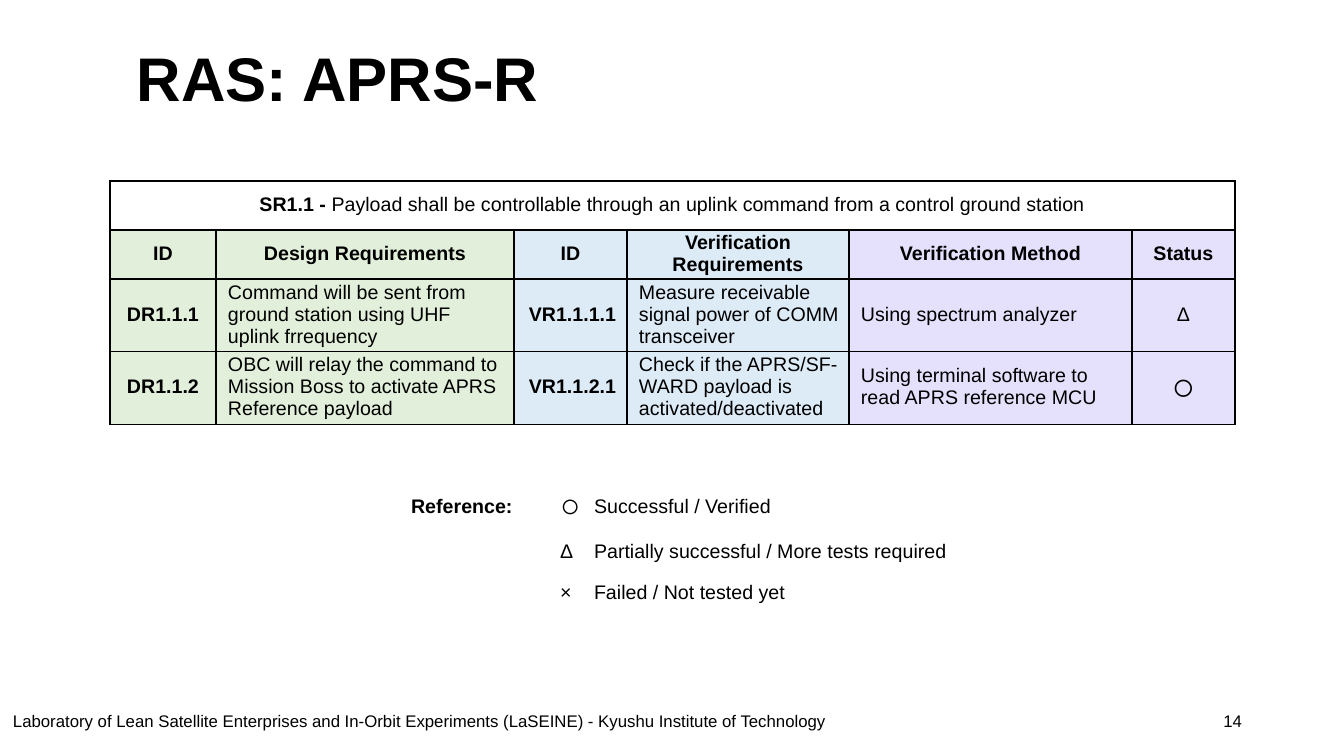
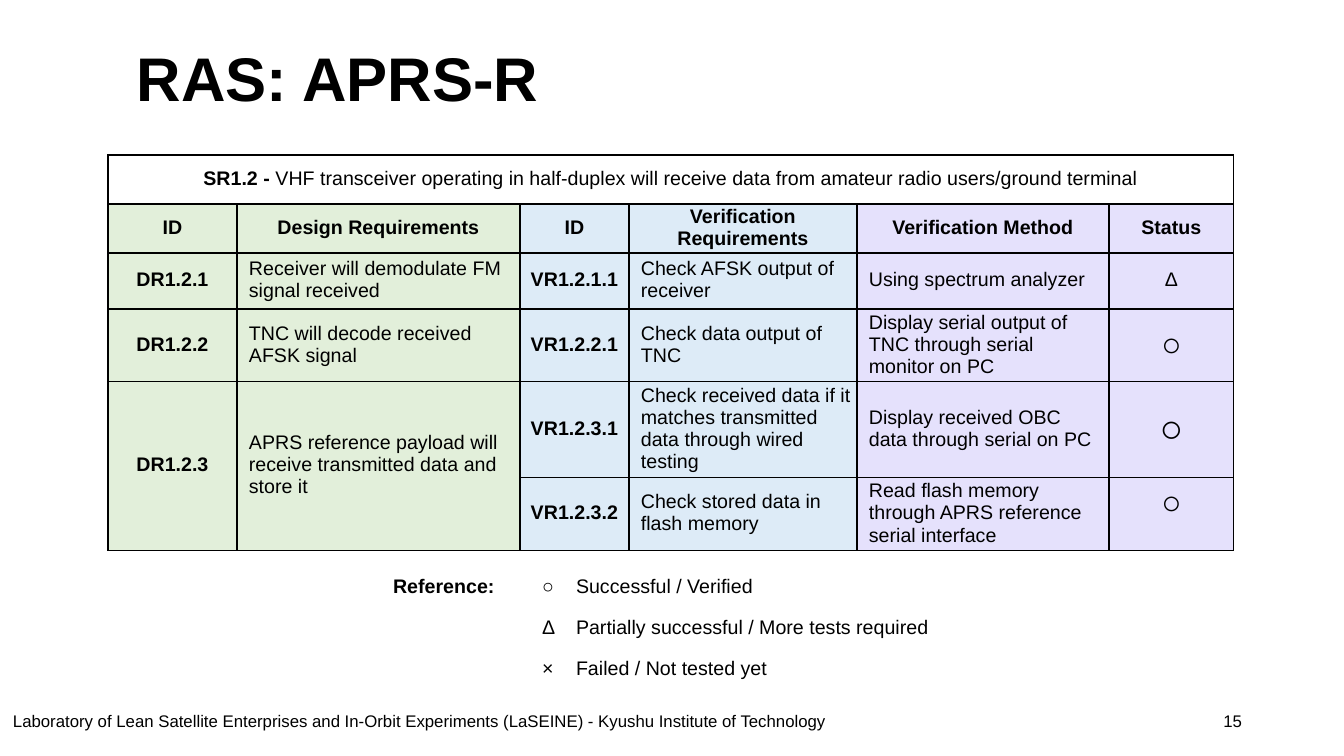
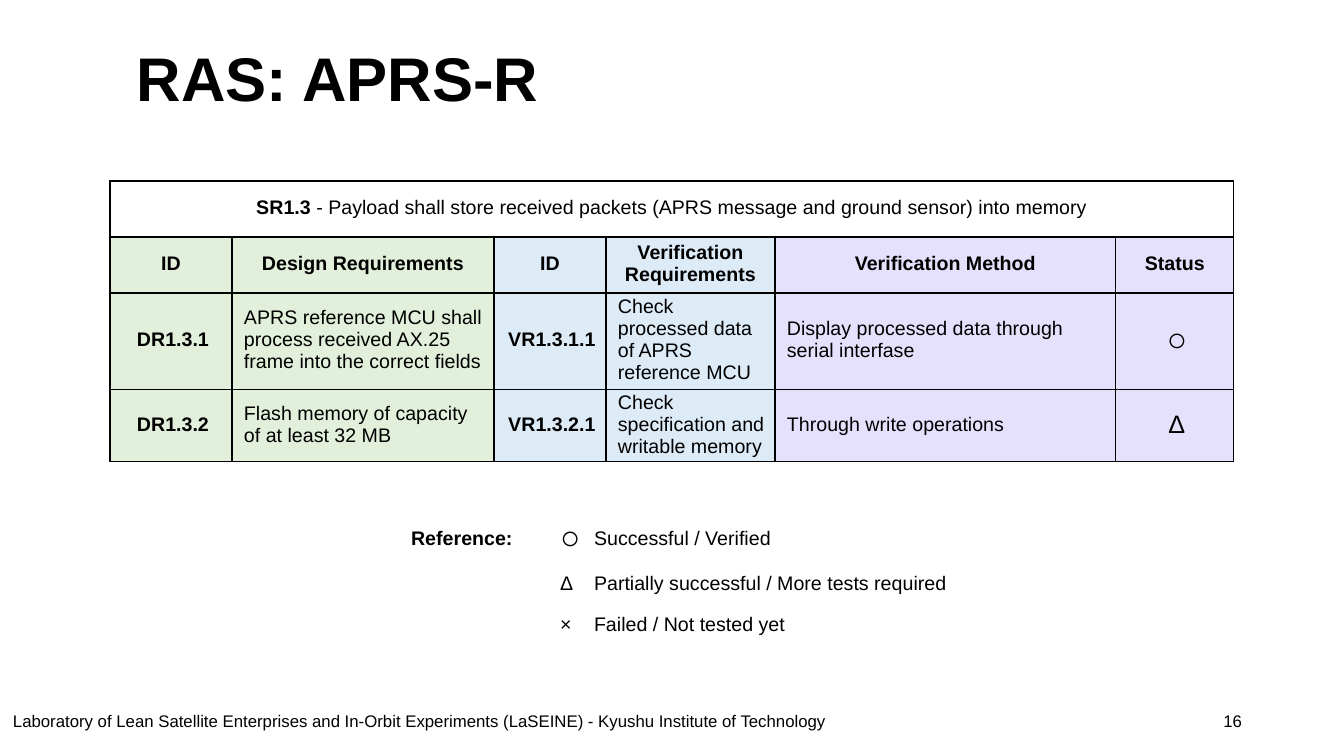
import pptx
import pptx.dml.color
import pptx.enum.text
import pptx.oxml
import pptx.oxml.ns
import pptx.util

RGB = pptx.dml.color.RGBColor
ALIGN = pptx.enum.text.PP_ALIGN
MIDDLE = pptx.enum.text.MSO_ANCHOR.MIDDLE

BLACK = RGB(0x00, 0x00, 0x00)
GREEN = RGB(0xE2, 0xEF, 0xDA)
BLUE = RGB(0xDD, 0xEB, 0xF7)
VIOLET = RGB(0xE5, 0xE1, 0xFC)

FONT = "Arial"
TITLE = "RAS: APRS-R"
FOOTER = ("Laboratory of Lean Satellite Enterprises and In-Orbit Experiments "
          "(LaSEINE) - Kyushu Institute of Technology")
HEADERS = ["ID", "Design Requirements", "ID", "Verification Requirements",
           "Verification Method", "Status"]
COLUMN_FILLS = [GREEN, GREEN, BLUE, BLUE, VIOLET, VIOLET]
ID_COLUMNS = (0, 2)
STATUS_COLUMN = 5
LEGEND = [("○", "Successful / Verified"),
          ("Δ", "Partially successful / More tests required"),
          ("×", "Failed / Not tested yet")]
LEGEND_COLUMNS = [149, 34, 393]
PAD = (12, 8)

# Body rows end in (status symbol, size in points, px raised above the middle).
# None joins the cell to the one above it.
SLIDES = [
    dict(
        number="14", at=(110, 181),
        columns=[106, 298, 113, 222, 283, 103], rows=[49, 47, 69, 69],
        pads=dict.fromkeys(range(1, 5), PAD),
        requirement=("SR1.1 - ", "Payload shall be controllable through an uplink "
                     "command from a control ground station"),
        body=[
            ["DR1.1.1", "Command will be sent from ground station using UHF uplink frrequency",
             "VR1.1.1.1", "Measure receivable signal power of COMM transceiver",
             "Using spectrum analyzer", ("Δ", 14, 0)],
            ["DR1.1.2", "OBC will relay the command to Mission Boss to activate APRS "
             "Reference payload",
             "VR1.1.2.1", "Check if the APRS/SF-WARD payload is activated/deactivated",
             "Using terminal software to read APRS reference MCU", ("○", 28, 0)],
        ],
        legend_at=(401, 481), legend_rows=[47, 41, 41], circle_size=24),
    dict(
        number="15", at=(108, 155),
        columns=[129, 283, 109, 228, 252, 125], rows=[49, 47, 56, 69, 91, 69],
        pads={1: PAD, 3: (12, 4), 4: PAD},
        requirement=("SR1.2 - ", "VHF transceiver operating in half-duplex will receive "
                     "data from amateur radio users/ground terminal"),
        body=[
            ["DR1.2.1", "Receiver will demodulate FM signal received",
             "VR1.2.1.1", "Check AFSK output of receiver",
             "Using spectrum analyzer", ("Δ", 14, 0)],
            ["DR1.2.2", "TNC will decode received AFSK signal",
             "VR1.2.2.1", "Check data output of TNC",
             "Display serial output of TNC through serial monitor on PC", ("○", 24, 0)],
            ["DR1.2.3", "APRS reference payload will receive transmitted data and store it",
             "VR1.2.3.1", "Check received data if it matches transmitted data through "
             "wired testing",
             "Display received OBC data through serial on PC", ("○", 28, 0)],
            [None, None,
             "VR1.2.3.2", "Check stored data in flash memory",
             "Read flash memory through APRS reference serial interface", ("○", 24, 10)],
        ],
        legend_at=(383, 566), legend_rows=[41, 41, 41], circle_size=14),
    dict(
        number="16", at=(110, 181),
        columns=[122, 262, 112, 169, 341, 118], rows=[56, 56, 91, 69],
        pads=dict.fromkeys(range(6), PAD),
        requirement=("SR1.3", " - Payload shall store received packets (APRS message "
                     "and ground sensor) into memory"),
        body=[
            ["DR1.3.1", "APRS reference MCU shall process received AX.25 frame into the "
             "correct fields",
             "VR1.3.1.1", "Check processed data of APRS reference MCU",
             "Display processed data through serial interfase", ("○", 24, 0)],
            ["DR1.3.2", "Flash memory of capacity of at least 32 MB",
             "VR1.3.2.1", "Check specification and writable memory",
             "Through write operations", ("Δ", 18, 0)],
        ],
        legend_at=(401, 513), legend_rows=[47, 41, 41], circle_size=24),
]


def px(n):
    return pptx.util.Emu(round(n * 914400 / 100.8))


def style(p, size=14, bold=False, align=ALIGN.LEFT):
    p.alignment = align
    p.font.name = FONT
    p.font.size = pptx.util.Pt(size)
    p.font.bold = bold
    p.font.color.rgb = BLACK


def set_margins(target, left, top, right, bottom):
    target.margin_left, target.margin_top = px(left), px(top)
    target.margin_right, target.margin_bottom = px(right), px(bottom)


def add_text(slide, box, text, size, bold=False, align=ALIGN.LEFT):
    tf = slide.shapes.add_textbox(*map(px, box)).text_frame
    tf.word_wrap = True
    tf.vertical_anchor = MIDDLE
    p = tf.paragraphs[0]
    p.text = text
    style(p, size, bold, align)
    return tf


def add_table(slide, at, columns, rows):
    """Add a table without banding or fills, every cell anchored to the middle."""
    table = slide.shapes.add_table(
        len(rows), len(columns), *map(px, (*at, sum(columns), sum(rows)))).table
    table.first_row = table.horz_banding = False
    for column, width in zip(table.columns, columns):
        column.width = px(width)
    for row, height in zip(table.rows, rows):
        row.height = px(height)
    for cell in table.iter_cells():
        cell.fill.background()
        cell.vertical_anchor = MIDDLE
    return table


def set_cell(cell, text, **font):
    p = cell.text_frame.paragraphs[0]
    p.text = text
    style(p, **font)


def add_borders(cell):
    tcPr = cell._tc.get_or_add_tcPr()
    for i, side in enumerate(("lnL", "lnR", "lnT", "lnB")):
        tcPr.insert(i, pptx.oxml.parse_xml(
            f'<a:{side} {pptx.oxml.ns.nsdecls("a")} w="12700"><a:solidFill>'
            f'<a:srgbClr val="{BLACK}"/></a:solidFill></a:{side}>'))


def add_requirements(slide, at, columns, rows, pads, requirement, body):
    table = add_table(slide, at, columns, rows)
    for cell in table.iter_cells():
        set_margins(cell, 0, 0, 0, 2)
        add_borders(cell)

    table.cell(0, 0).merge(table.cell(0, STATUS_COLUMN))
    p = table.cell(0, 0).text_frame.paragraphs[0]
    style(p, align=ALIGN.CENTER)
    for text, bold in zip(requirement, (True, False)):
        r = p.add_run()
        r.text = text
        r.font.bold = bold

    for y, row in enumerate([HEADERS, *body], 1):
        for x, content in enumerate(row):
            cell = table.cell(y, x)
            cell.fill.solid()
            cell.fill.fore_color.rgb = COLUMN_FILLS[x]
            if content is None:
                table.cell(y - 1, x).merge(cell)
            elif y == 1:
                set_cell(cell, content, bold=True, align=ALIGN.CENTER)
            else:
                fill_body_cell(cell, x, content, pads.get(x, (0, 0)))


def fill_body_cell(cell, x, content, pad):
    left, right = pad
    raised = 0
    if x == STATUS_COLUMN:
        symbol, size, raised = content
        set_cell(cell, symbol, size=size, bold=symbol == "○", align=ALIGN.CENTER)
    elif x in ID_COLUMNS:
        set_cell(cell, content, bold=True, align=ALIGN.CENTER)
    else:
        set_cell(cell, content)
    set_margins(cell, left, 0, right, 2 + 2 * raised)


def add_legend(slide, at, rows, circle_size):
    table = add_table(slide, at, LEGEND_COLUMNS, rows)
    set_cell(table.cell(0, 0), "Reference:", bold=True)
    for y, (symbol, meaning) in enumerate(LEGEND):
        set_cell(table.cell(y, 1), symbol, size=circle_size if symbol == "○" else 14)
        set_cell(table.cell(y, 2), meaning)


def add_frame(slide, number):
    """Add what all slides share: footer, title and page number."""
    footer = add_text(slide, (11, 708, 823, 23), FOOTER, 12)
    set_margins(footer, 2, 3, 0, 0)
    title = add_text(slide, (127, 40, 1125, 84), TITLE, 44, bold=True)
    title.paragraphs[0].line_spacing = 0.9
    add_text(slide, (950, 701, 302, 40), number, 12, align=ALIGN.RIGHT)


def main():
    prs = pptx.Presentation()
    prs.slide_width, prs.slide_height = px(1344), px(756)
    for s in SLIDES:
        slide = prs.slides.add_slide(prs.slide_layouts[6])
        add_frame(slide, s["number"])
        add_requirements(slide, s["at"], s["columns"], s["rows"], s["pads"],
                         s["requirement"], s["body"])
        add_legend(slide, s["legend_at"], s["legend_rows"], s["circle_size"])
    prs.save("out.pptx")


if __name__ == "__main__":
    main()
